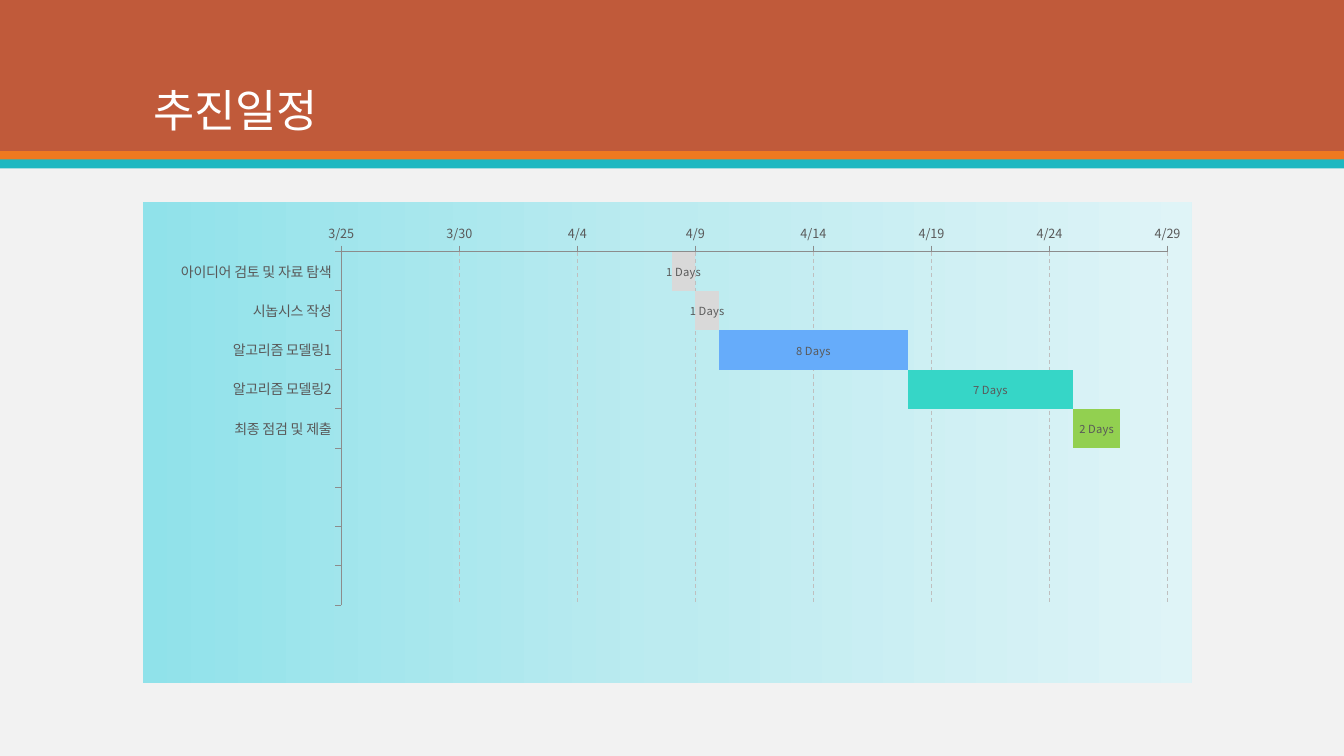
from lxml import etree
from pptx import Presentation
from pptx.chart.data import CategoryChartData
from pptx.dml.color import RGBColor
from pptx.enum.chart import XL_CHART_TYPE, XL_LABEL_POSITION, XL_TICK_MARK
from pptx.enum.dml import MSO_LINE
from pptx.enum.shapes import MSO_SHAPE
from pptx.enum.text import MSO_ANCHOR, MSO_AUTO_SIZE, PP_ALIGN
from pptx.oxml import parse_xml
from pptx.oxml.ns import nsdecls, qn
from pptx.util import Inches, Pt

RECTANGLE = MSO_SHAPE.RECTANGLE
STACKED_BAR = XL_CHART_TYPE.BAR_STACKED
LABEL_CENTER = XL_LABEL_POSITION.CENTER
TICK_OUT, TICK_NONE = XL_TICK_MARK.OUTSIDE, XL_TICK_MARK.NONE
DASH = MSO_LINE.DASH
BOTTOM, LEFT = MSO_ANCHOR.BOTTOM, PP_ALIGN.LEFT
NO_AUTOFIT = MSO_AUTO_SIZE.NONE

FONT = "Noto Sans CJK KR"
COLORS = {
    "page": "F2F2F2", "header": "C05A3A", "orange": "EF7920", "teal": "1EB8C1",
    "white": "FFFFFF", "text": "595959", "axis": "8C8C8C", "grid": "BFBFBF",
    "gray": "D9D9D9", "blue": "66ACFA", "mint": "36D6C7", "green": "92D050",
}
GRADIENT = [(0, "90E2EA"), (50, "BCEBF0"), (100, "DFF4F7")]
PLOT_AREA = {"x": 0.189, "y": 0.104, "w": 0.788, "h": 0.734}

FIRST_DAY, LAST_DAY, DAY_STEP = 43915, 43950, 5
ROW_COUNT = 9
TASKS = [
    ("아이디어 검토 및 자료 탐색", 43929, 1, "gray"),
    ("시놉시스 작성", 43930, 1, "gray"),
    ("알고리즘 모델링1", 43931, 8, "blue"),
    ("알고리즘 모델링2", 43939, 7, "mint"),
    ("최종 점검 및 제출", 43946, 2, "green"),
]


def color(name):
    return RGBColor.from_string(COLORS[name])


def style_font(font, size, name):
    font.name = FONT
    font.size = Pt(size)
    font.color.rgb = color(name)


def use_font_for_hangul(element):
    for latin in list(element.iter(qn("a:latin"))):
        east_asian = etree.Element(qn("a:ea"), typeface=FONT)
        latin.addnext(east_asian)


def add_header(page, left, top, width):
    bands = [("header", 0, 1.5), ("orange", 1.5, 0.09), ("teal", 1.58, 0.09)]
    for name, offset, height in bands:
        band = page.shapes.add_shape(
            RECTANGLE, Inches(left), Inches(top + offset), Inches(width), Inches(height))
        band.shadow.inherit = False
        band.fill.solid()
        band.fill.fore_color.rgb = color(name)
        band.line.fill.background()

    title = page.shapes.title
    title.left, title.top = Inches(left + 1.42), Inches(top + 0.28)
    title.width, title.height = Inches(10.5), Inches(1.13)
    title.element.getparent().append(title.element)
    frame = title.text_frame
    frame.text = "추진일정"
    frame.auto_size = NO_AUTOFIT
    frame.vertical_anchor = BOTTOM
    para = frame.paragraphs[0]
    para.alignment = LEFT
    para.line_spacing = 0.9
    style_font(para.runs[0].font, 32, "white")
    use_font_for_hangul(title.element)


def schedule_data():
    data = CategoryChartData()
    blank_rows = ROW_COUNT - len(TASKS)
    names, starts, days, _ = zip(*TASKS)
    data.categories = list(names) + [""] * blank_rows
    data.add_series("Series 1", list(starts) + [None] * blank_rows)
    data.add_series("Series 2", list(days) + [None] * blank_rows)
    return data


def style_axes(chart):
    tasks, dates = chart.category_axis, chart.value_axis
    for axis, size in ((tasks, 10), (dates, 9)):
        style_font(axis.tick_labels.font, size, "text")
        axis.major_tick_mark = TICK_OUT
        axis.minor_tick_mark = TICK_NONE
        axis.format.line.color.rgb = color("axis")
        axis.format.line.width = Pt(0.75)
    tasks.reverse_order = True
    tasks.has_major_gridlines = False
    dates.minimum_scale, dates.maximum_scale = FIRST_DAY, LAST_DAY
    dates.major_unit = DAY_STEP
    dates.tick_labels.number_format = 'm"/"d;@'
    dates.tick_labels.number_format_is_linked = False
    dates.has_major_gridlines = True
    grid = dates.major_gridlines.format.line
    grid.color.rgb = color("grid")
    grid.width = Pt(0.75)
    grid.dash_style = DASH


def style_bars(chart):
    plot = chart.plots[0]
    plot.gap_width, plot.overlap = 0, 100
    plot.vary_by_categories = False
    starts, days = plot.series
    starts.format.fill.background()
    starts.format.line.fill.background()
    days.format.fill.solid()
    days.format.fill.fore_color.rgb = color("gray")
    for index, task in enumerate(TASKS):
        fill = days.points[index].format.fill
        fill.solid()
        fill.fore_color.rgb = color(task[3])
    labels = days.data_labels
    labels.show_value = True
    labels.position = LABEL_CENTER
    labels.number_format = '#,##0" Days"'
    labels.number_format_is_linked = False
    style_font(labels.font, 8, "text")


def place_plot(chart):
    area = chart.element.find(".//" + qn("c:plotArea"))
    for layout in area.findall(qn("c:layout")):
        area.remove(layout)
    modes = "".join(f'<c:{side}Mode val="edge"/>' for side in "xy")
    sizes = "".join(f'<c:{side} val="{part}"/>' for side, part in PLOT_AREA.items())
    area.insert(0, parse_xml(
        f'<c:layout {nsdecls("c")}><c:manualLayout><c:layoutTarget val="inner"/>'
        f'{modes}{sizes}</c:manualLayout></c:layout>'))


def fill_chart(chart):
    stops = "".join(
        f'<a:gs pos="{percent * 1000}"><a:srgbClr val="{tone}"/></a:gs>'
        for percent, tone in GRADIENT)
    chart.element.find(qn("c:chart")).addnext(parse_xml(
        f'<c:spPr {nsdecls("c", "a")}><a:gradFill><a:gsLst>{stops}</a:gsLst>'
        '<a:lin ang="0" scaled="0"/></a:gradFill><a:ln><a:noFill/></a:ln></c:spPr>'))


def add_schedule(page, left, top, width, height):
    chart = page.shapes.add_chart(
        STACKED_BAR, Inches(left), Inches(top), Inches(width), Inches(height),
        schedule_data()).chart
    chart.has_legend = False
    chart.has_title = False
    style_font(chart.font, 10, "text")
    style_axes(chart)
    style_bars(chart)
    place_plot(chart)
    fill_chart(chart)
    use_font_for_hangul(chart.element)


def main():
    deck = Presentation()
    deck.slide_width, deck.slide_height = Inches(13.33), Inches(7.5)
    page = deck.slides.add_slide(deck.slide_layouts.get_by_name("Title Only"))
    page.background.fill.solid()
    page.background.fill.fore_color.rgb = color("page")
    add_header(page, 0, 0, 13.33)
    add_schedule(page, 1.42, 2, 10.4, 4.78)
    deck.save("out.pptx")


if __name__ == "__main__":
    main()
